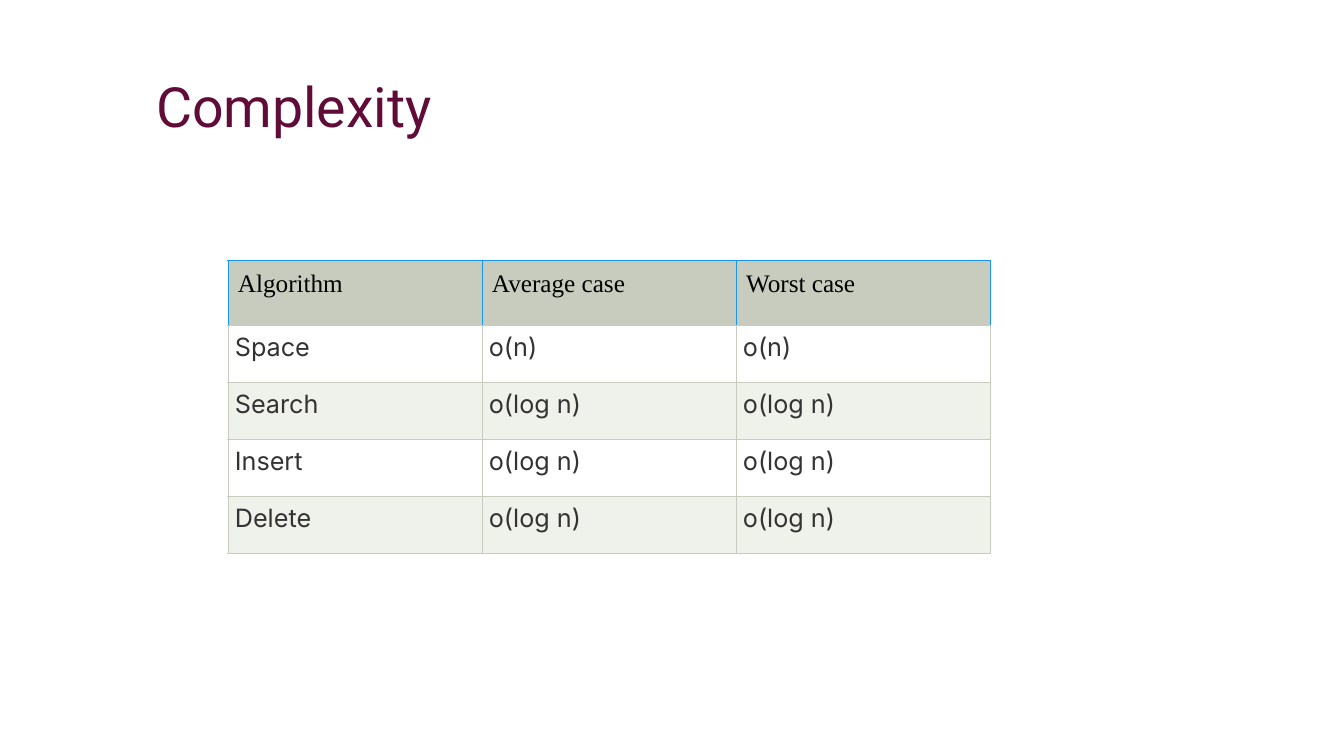
"""Build a slide with a table of algorithm complexities."""
from lxml.etree import SubElement
from pptx import Presentation
from pptx.dml.color import RGBColor
from pptx.enum.text import MSO_ANCHOR, PP_ALIGN
from pptx.oxml.ns import qn
from pptx.util import Inches, Pt

TITLE = "Complexity"
ROWS = [
    ("Algorithm", "Average case", "Worst case"),
    ("Space", "o(n)", "o(n)"),
    ("Search", "o(log n)", "o(log n)"),
    ("Insert", "o(log n)", "o(log n)"),
    ("Delete", "o(log n)", "o(log n)"),
]
PLUM = RGBColor(0x61, 0x0B, 0x38)
BLACK = RGBColor(0, 0, 0)
GRAY = RGBColor(0x33, 0x33, 0x33)
SAGE = RGBColor(0xC7, 0xCC, 0xBE)
PALE = RGBColor(0xEF, 0xF1, 0xEB)
WHITE = RGBColor(0xFF, 0xFF, 0xFF)
BLUE = RGBColor(0x18, 0x97, 0xEA)
COL_W, HEAD_H, ROW_H = 2.52, 0.65, 0.565


def add_run(p, text, font, size, color):
    r = p.add_run()
    r.text = text
    r.font.name = font
    r.font.size = Pt(size)
    r.font.color.rgb = color


def set_border(cell, side, color):
    ln = SubElement(cell._tc.get_or_add_tcPr(), qn("a:ln" + side), w=str(Pt(0.6)))
    fill = SubElement(ln, qn("a:solidFill"))
    SubElement(fill, qn("a:srgbClr"), val=str(color))


def add_title(s):
    tf = s.shapes.add_textbox(Inches(1.45), Inches(0.69), Inches(11.5), Inches(0.79)).text_frame
    tf.word_wrap = True
    tf.vertical_anchor = MSO_ANCHOR.MIDDLE
    p = tf.paragraphs[0]
    p.line_spacing = 0.9
    add_run(p, TITLE, "Roboto", 39.6, PLUM)


def fill_cell(cell, text, row):
    head = row == 0
    for side in "LRTB":
        set_border(cell, side, BLUE if head and side != "B" else SAGE)
    cell.fill.solid()
    cell.fill.fore_color.rgb = SAGE if head else WHITE if row % 2 else PALE
    inset = Inches(0.1 if head else 0.07)
    cell.margin_left = cell.margin_right = inset
    cell.margin_top = cell.margin_bottom = inset
    p = cell.text_frame.paragraphs[0]
    if head:
        add_run(p, text, "Times New Roman", 18, BLACK)
    else:
        p.alignment = PP_ALIGN.JUSTIFY
        add_run(p, text, "Inter", 18, GRAY)


def add_complexity_table(s):
    n_rows, n_cols = len(ROWS), len(ROWS[0])
    height = HEAD_H + (n_rows - 1) * ROW_H
    table = s.shapes.add_table(n_rows, n_cols, Inches(2.26), Inches(2.58),
                               Inches(n_cols * COL_W), Inches(height)).table
    for col in table.columns:
        col.width = Inches(COL_W)
    for i, texts in enumerate(ROWS):
        table.rows[i].height = Inches(ROW_H if i else HEAD_H)
        for j, text in enumerate(texts):
            fill_cell(table.cell(i, j), text, i)


def main():
    prs = Presentation()
    prs.slide_width, prs.slide_height = Inches(13.33), Inches(7.5)
    s = prs.slides.add_slide(prs.slide_layouts[6])
    add_title(s)
    add_complexity_table(s)
    prs.save("out.pptx")


if __name__ == "__main__":
    main()
